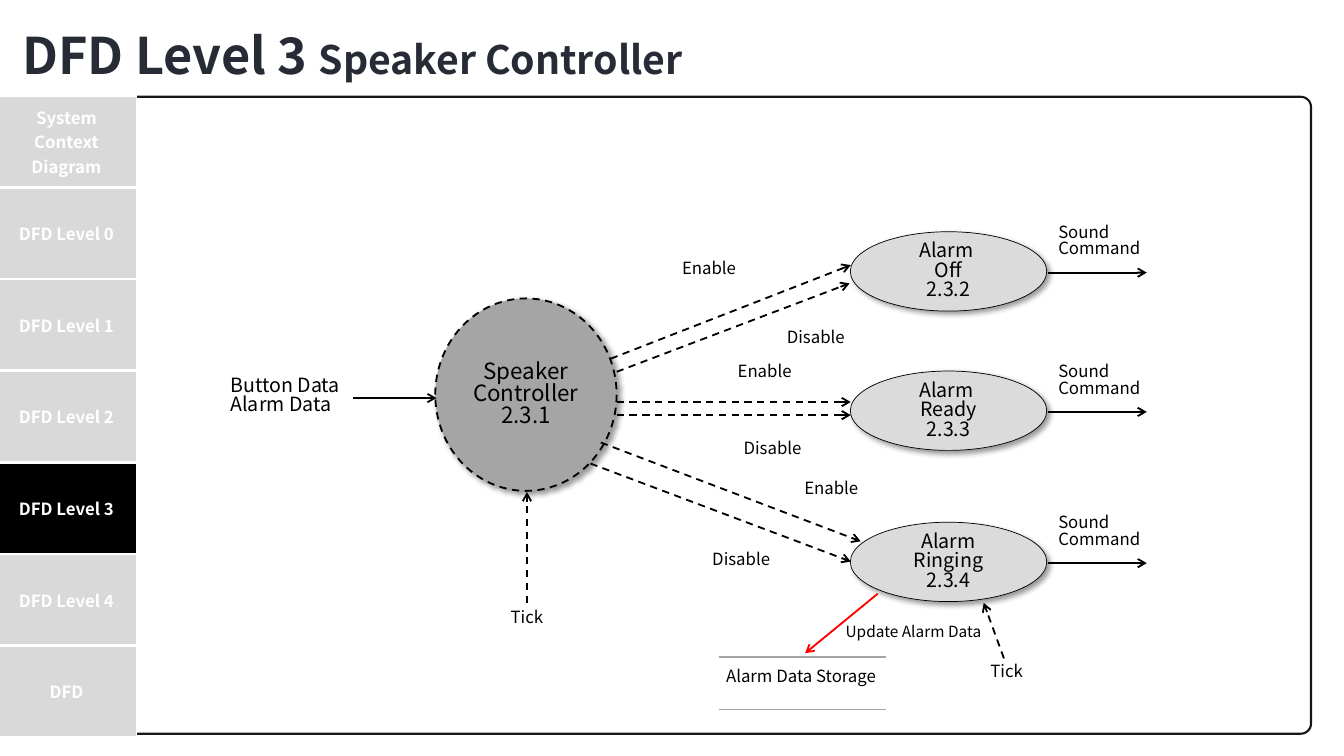
from lxml import etree
from pptx import Presentation
from pptx.dml.color import RGBColor
from pptx.enum.dml import MSO_LINE
from pptx.enum.shapes import MSO_CONNECTOR, MSO_SHAPE
from pptx.enum.text import MSO_ANCHOR, MSO_AUTO_SIZE, PP_ALIGN
from pptx.oxml import parse_xml
from pptx.util import Cm, Pt

FONT = "Noto Sans CJK KR"
NS = "http://schemas.openxmlformats.org/drawingml/2006/main"
A = f"{{{NS}}}"


def paint(target, color):
    """Give a fill, or the fill of a line, one solid colour."""
    target.solid()
    target.fore_color.rgb = RGBColor.from_string(color)


def write(tf, text, size, color="000000", bold=False, align=PP_ALIGN.LEFT, spacing=0.83):
    """Fill a text frame; each line of the text becomes a paragraph."""
    tf.word_wrap = True
    tf.text = text
    for p in tf.paragraphs:
        p.alignment, p.line_spacing = align, spacing
        p.font.name, p.font.size, p.font.bold = FONT, Pt(size), bold
        paint(p.font.fill, color)


prs = Presentation()
prs.slide_width, prs.slide_height = Cm(33.87), Cm(19.05)
s = prs.slides.add_slide(prs.slide_layouts[5])

# Title
title = s.shapes.title
title.left, title.top, title.width, title.height = Cm(0.03), Cm(-0.15), Cm(33.87), Cm(2.26)
tf = title.text_frame
write(tf, "DFD Level 3 ", 36, "262B35", bold=True, spacing=1.5)
tf.auto_size = MSO_AUTO_SIZE.NONE
tf.vertical_anchor = MSO_ANCHOR.MIDDLE
tf.margin_left = Cm(0.53)
r = tf.paragraphs[0].add_run()
r.text = "Speaker Controller"
r.font.size = Pt(28)

# Frame
frame = s.shapes.add_shape(MSO_SHAPE.ROUNDED_RECTANGLE, Cm(0.86), Cm(2.44), Cm(32.18), Cm(16.05))
frame.adjustments[0] = 0.016
frame.shadow.inherit = False
paint(frame.fill, "FFFFFF")
paint(frame.line.fill, "181717")
frame.line.width = Pt(1.5)

# Navigation
sections = ["System Context Diagram", "DFD Level 0", "DFD Level 1", "DFD Level 2",
            "DFD Level 3", "DFD Level 4", "DFD"]
row_height = Cm(2.31)
nav = s.shapes.add_table(len(sections), 1, Cm(-0.08), Cm(2.41), Cm(3.51),
                         row_height * len(sections)).table
nav.first_row = nav.horz_banding = False
for i, section in enumerate(sections):
    nav.rows[i].height = row_height
    cell = nav.cell(i, 0)
    write(cell.text_frame, section, 12, "FFFFFF", True, PP_ALIGN.CENTER, 1.0)
    cell.vertical_anchor = MSO_ANCHOR.MIDDLE
    paint(cell.fill, "000000" if section == "DFD Level 3" else "D9D9D9")
    for k, side in enumerate(("lnT", "lnB")):
        cell._tc.get_or_add_tcPr().insert(k, parse_xml(
            f'<a:{side} xmlns:a="{NS}" w="28575"><a:solidFill>'
            f'<a:srgbClr val="FFFFFF"/></a:solidFill></a:{side}>'))

# Processes
process_tops = [5.84, 9.35, 13.16]
processes = [("Speaker\nController\n2.3.1", 10.97, 7.52, 4.57, 4.85, "A5A5A5", 16)]
for name, top in zip(("Alarm \nOff\n2.3.2", "Alarm \nReady\n2.3.3", "Alarm Ringing\n2.3.4"),
                     process_tops):
    processes.append((name, 21.43, top, 4.95, 2, "DBDBDB", 14))
for name, x, y, w, h, color, size in processes:
    sp = s.shapes.add_shape(MSO_SHAPE.OVAL, Cm(x), Cm(y), Cm(w), Cm(h))
    paint(sp.fill, color)
    paint(sp.line.fill, "000000")
    sp.line.width = Pt(0.5)
    if size == 16:
        sp.line.width = Pt(1.3)
        sp.line.dash_style = MSO_LINE.DASH
    sp.shadow.inherit = False
    sp._element.spPr.find(A + "effectLst").append(parse_xml(
        f'<a:outerShdw xmlns:a="{NS}" blurRad="50800" dist="38100" dir="2700000" algn="tl" '
        'rotWithShape="0"><a:srgbClr val="000000"><a:alpha val="40000"/></a:srgbClr></a:outerShdw>'))
    write(sp.text_frame, name, size, align=PP_ALIGN.CENTER)
    sp.text_frame.vertical_anchor = MSO_ANCHOR.MIDDLE

# Flows: x1, y1, x2, y2, colour, width, dashed, arrowhead
control_flows = [
    (15.39, 9.04, 21.44, 6.68), (15.54, 9.37, 21.41, 7.14),
    (15.54, 10.13, 21.44, 10.13), (15.54, 10.46, 21.44, 10.46),
    (15.14, 11.15, 21.69, 13.64), (14.88, 11.68, 21.44, 14.15),
    (13.28, 15.19, 13.28, 12.4), (25.3, 16.59, 24.79, 15.19),
]
data_flows = [(8.89, 10.03, 11, 10.03)]
data_flows += [(26.4, top + 1.03, 28.9, top + 1.03) for top in process_tops]
storage_edges = [(18.11, y, 22.33, y) for y in (16.56, 17.88)]
flows = [(*ends, "000000", 1.3, True, True) for ends in control_flows]
flows += [(*ends, "000000", 1.3, False, True) for ends in data_flows]
flows += [(*ends, "A5A5A5", 1, False, False) for ends in storage_edges]
flows.append((22.12, 14.96, 20.29, 16.46, "FF0000", 1.3, False, True))
for x1, y1, x2, y2, color, width, dashed, arrow in flows:
    flow = s.shapes.add_connector(MSO_CONNECTOR.STRAIGHT, Cm(x1), Cm(y1), Cm(x2), Cm(y2))
    paint(flow.line.fill, color)
    flow.line.width = Pt(width)
    if dashed:
        flow.line.dash_style = MSO_LINE.DASH
    if arrow:
        etree.SubElement(flow.line._get_or_add_ln(), A + "tailEnd", type="arrow")
    etree.SubElement(flow._element.spPr, A + "effectLst")

# Labels: text, left, top, width, height, size, alignment
labels = [
    ("Button Data\nAlarm Data", 5.56, 9.37, 3.33, 1.45, 14, PP_ALIGN.LEFT),
    ("Alarm Data Storage", 17.37, 16.74, 5.64, 0.94, 12, PP_ALIGN.CENTER),
    ("Update Alarm Data", 21.06, 15.62, 4.78, 0.74, 11, PP_ALIGN.LEFT),
]
labels += [("Sound Command", 26.42, top - 0.3, 3.33, 1.27, 12, PP_ALIGN.LEFT)
           for top in process_tops]
signals = [
    ("Enable", 16.94, 6.45), ("Disable", 19.58, 8.2), ("Enable", 18.34, 9.04),
    ("Disable", 18.49, 11), ("Enable", 20.02, 12.01), ("Disable", 17.7, 13.79),
    ("Tick", 12.62, 15.24), ("Tick", 24.71, 16.61),
]
labels += [(*signal, 2.11, 0.76, 12, PP_ALIGN.LEFT) for signal in signals]
for text, x, y, w, h, size, align in labels:
    box = s.shapes.add_textbox(Cm(x), Cm(y), Cm(w), Cm(h))
    write(box.text_frame, text, size, align=align)

prs.save("out.pptx")
